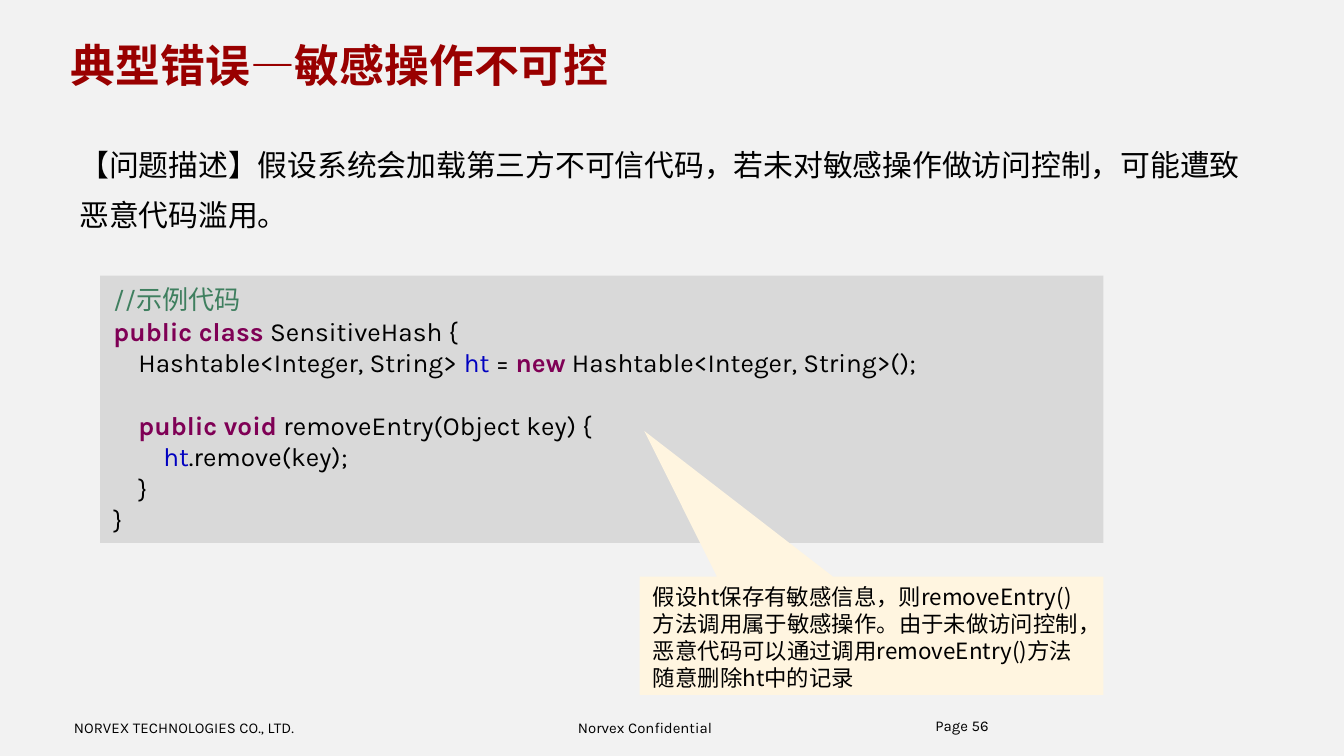
"""Build the slide on uncontrolled sensitive operations."""
from dataclasses import dataclass

from lxml import etree
from pptx import Presentation
from pptx.dml.color import RGBColor
from pptx.enum.shapes import MSO_SHAPE
from pptx.enum.text import MSO_ANCHOR, MSO_AUTO_SIZE, PP_ALIGN
from pptx.oxml.ns import qn
from pptx.util import Pt

CALLOUT = MSO_SHAPE.RECTANGULAR_CALLOUT
TOP, MIDDLE = MSO_ANCHOR.TOP, MSO_ANCHOR.MIDDLE
NO_AUTOFIT = MSO_AUTO_SIZE.NONE
LEFT = PP_ALIGN.LEFT

LATIN, CHINESE = "Karla", "Noto Sans CJK SC"
COLORS = {
    "background": "F2F2F2",
    "title": "990000",
    "text": "000000",
    "code": "D9D9D9",
    "callout": "FFF5E0",
    "comment": "3F7F5F",
    "keyword": "7F0055",
    "field": "0000C0",
}


@dataclass(frozen=True)
class Run:
    text: str
    color: str = "text"
    bold: bool = False


@dataclass(frozen=True)
class Block:
    box: tuple
    lines: list
    size: float
    font: str = LATIN
    insets: tuple = (0, 0, 0, 0)
    anchor: MSO_ANCHOR = TOP
    spacing: float = 1.0


def keyword(text: str) -> Run:
    """Return a run in the style of a language keyword."""
    return Run(text, "keyword", True)


TITLE = Block((33, 17.3, 635, 34.6), [[Run("典型错误—敏感操作不可控", "title", True)]],
              24, insets=(5, 3, 5, 3), anchor=MIDDLE)
CODE = Block(
    (53.6, 147.6, 537.5, 143.3),
    [
        [Run("//示例代码", "comment")],
        [keyword("public class"), Run(" SensitiveHash {")],
        [Run("    Hashtable<Integer, String> "), Run("ht", "field"), Run(" = "),
         keyword("new"), Run(" Hashtable<Integer, String>();")],
        [Run("    ")],
        [Run("    "), keyword("public void"), Run(" removeEntry(Object key) {")],
        [Run("        "), Run("ht", "field"), Run(".remove(key);")],
        [Run("    }")],
        [Run("}")],
    ],
    14, insets=(7.2, 3.6, 7.2, 3.6), anchor=MIDDLE)
NOTE = Block(
    (342.7, 308.9, 248.4, 63.4),
    [[Run("假设ht保存有敏感信息，则removeEntry()方法调用属于敏感操作。由于未做访问控制，"
          "恶意代码可以通过调用removeEntry()方法随意删除ht中的记录")]],
    12, CHINESE, (7.2, 3.6, 7.2, 3.6))
TEXT_BOXES = [
    Block((36, 67.7, 646.6, 60.5),
          [[Run("【问题描述】假设系统会加载第三方不可信代码，若未对敏感操作做访问控制，"
                "可能遭致恶意代码滥用。")]],
          16, CHINESE, (6.5, 3, 6.5, 3), spacing=1.4),
    Block((39.6, 385.2, 137.5, 9.4), [[Run("NORVEX TECHNOLOGIES CO., LTD.")]],
          8, insets=(0, 0, 6.5, 0)),
    Block((303.1, 385.2, 90.7, 9.4), [[Run("Norvex Confidential")]],
          8, insets=(6.5, 0, 6.5, 0)),
    Block((501.1, 385.2, 164.9, 26.6), [[Run("Page 56")]], 8, spacing=0.85),
]


def set_attributes(target: object, values: dict) -> None:
    """Set every named value on the target."""
    for name, value in values.items():
        setattr(target, name, value)


def set_fill(fill: object, color: str) -> None:
    """Fill with a solid named colour."""
    fill.solid()
    fill.fore_color.rgb = RGBColor.from_string(COLORS[color])


def write_block(shape: object, block: Block) -> None:
    """Place the shape and write the formatted text of its block."""
    set_attributes(shape, dict(zip(("left", "top", "width", "height"),
                                   map(Pt, block.box))))
    left, top, right, bottom = map(Pt, block.insets)
    frame = shape.text_frame
    set_attributes(frame, {
        "word_wrap": True, "auto_size": NO_AUTOFIT, "vertical_anchor": block.anchor,
        "margin_left": left, "margin_top": top,
        "margin_right": right, "margin_bottom": bottom,
    })
    for index, line in enumerate(block.lines):
        paragraph = frame.add_paragraph() if index else frame.paragraphs[0]
        properties = paragraph._p.get_or_add_pPr()
        properties.set("marL", "0")
        properties.set("indent", "0")
        etree.SubElement(properties, qn("a:buNone"))
        set_attributes(paragraph, {"alignment": LEFT, "line_spacing": block.spacing,
                                   "space_before": Pt(0), "space_after": Pt(0)})
        for part in line:
            run = paragraph.add_run()
            run.text = part.text
            set_attributes(run.font, {"name": block.font, "size": Pt(block.size),
                                      "bold": part.bold})
            run.font.color.rgb = RGBColor.from_string(COLORS[part.color])


def add_callout(slide: object, block: Block) -> None:
    """Add the callout that points at the sensitive method."""
    callout = slide.shapes.add_shape(CALLOUT, *map(Pt, block.box))
    callout.adjustments[0], callout.adjustments[1] = -0.49, -1.73
    callout.shadow.inherit = False
    callout.line.fill.background()
    set_fill(callout.fill, "callout")
    write_block(callout, block)


def main() -> None:
    """Build and save the presentation."""
    presentation = Presentation()
    set_attributes(presentation, {"slide_width": Pt(720), "slide_height": Pt(405)})
    slide = presentation.slides.add_slide(presentation.slide_layouts[1])
    set_fill(slide.background.fill, "background")
    write_block(slide.shapes.title, TITLE)
    code = slide.placeholders[1]
    set_fill(code.fill, "code")
    write_block(code, CODE)
    for block in TEXT_BOXES:
        write_block(slide.shapes.add_textbox(*map(Pt, block.box)), block)
    add_callout(slide, NOTE)
    presentation.save("out.pptx")


if __name__ == "__main__":
    main()
